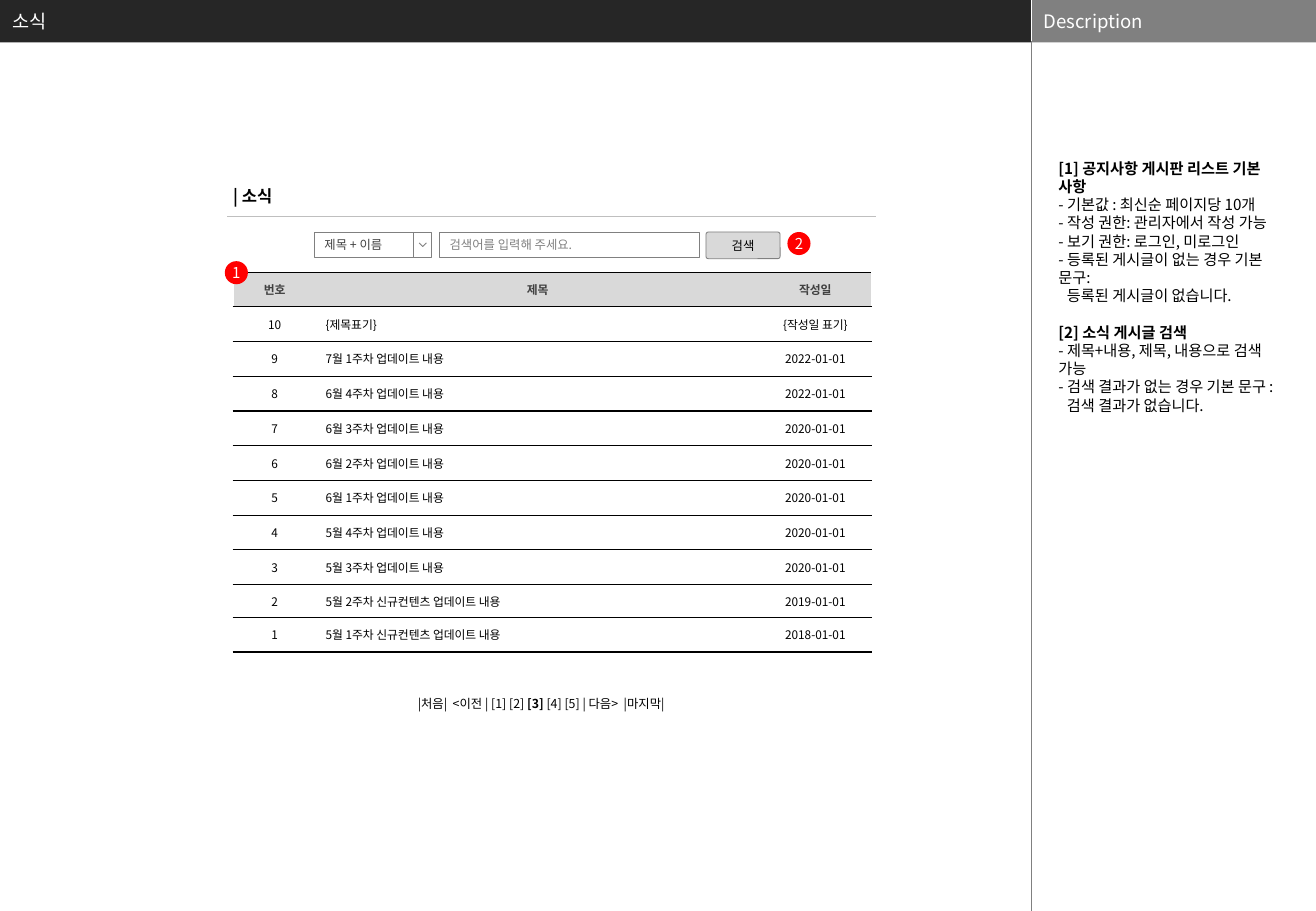
from pptx import Presentation
from pptx.dml.color import RGBColor
from pptx.enum import shapes as kinds, text as txt
from pptx.oxml.xmlchemy import OxmlElement
from pptx.util import Inches, Pt

FONT = "Noto Sans CJK KR"
BLACK = RGBColor(0x00, 0x00, 0x00)
WHITE = RGBColor(0xFF, 0xFF, 0xFF)
DARK = RGBColor(0x26, 0x26, 0x26)
INK = RGBColor(0x40, 0x40, 0x40)
GRAY = RGBColor(0x80, 0x80, 0x80)
SILVER = RGBColor(0xBF, 0xBF, 0xBF)
PALE = RGBColor(0xD9, 0xD9, 0xD9)
RED = RGBColor(0xFF, 0x00, 0x00)

LEFT, CENTER = txt.PP_ALIGN.LEFT, txt.PP_ALIGN.CENTER
MIDDLE, TOP = txt.MSO_ANCHOR.MIDDLE, txt.MSO_ANCHOR.TOP
RECT, ROUND, OVAL = (kinds.MSO_SHAPE.RECTANGLE, kinds.MSO_SHAPE.ROUNDED_RECTANGLE,
                     kinds.MSO_SHAPE.OVAL)
SPLIT = 8.49  # left edge of the description panel

POSTS = [
    ("10", "{제목표기}", "{작성일 표기}"),
    ("9", "7월 1주차 업데이트 내용", "2022-01-01"),
    ("8", "6월 4주차 업데이트 내용", "2022-01-01"),
    ("7", "6월 3주차 업데이트 내용", "2020-01-01"),
    ("6", "6월 2주차 업데이트 내용", "2020-01-01"),
    ("5", "6월 1주차 업데이트 내용", "2020-01-01"),
    ("4", "5월 4주차 업데이트 내용", "2020-01-01"),
    ("3", "5월 3주차 업데이트 내용", "2020-01-01"),
    ("2", "5월 2주차 신규컨텐츠 업데이트 내용", "2019-01-01"),
    ("1", "5월 1주차 신규컨텐츠 업데이트 내용", "2018-01-01"),
]

# Each note: heading, then lines with their left indent
NOTES = [
    ("[1] 공지사항 게시판 리스트 기본 사항", [
        ("- 기본값 : 최신순 페이지당 10개", 0),
        ("- 작성 권한: 관리자에서 작성 가능", 0),
        ("- 보기 권한: 로그인, 미로그인", 0),
        ("- 등록된 게시글이 없는 경우 기본 문구:", 0),
        ("등록된 게시글이 없습니다.", 0.07)]),
    ("[2] 소식 게시글 검색", [
        ("- 제목+내용, 제목, 내용으로 검색 가능", 0),
        ("- 검색 결과가 없는 경우 기본 문구 :", 0),
        ("검색 결과가 없습니다.", 0.07)]),
]


def add_run(para, words, size, color=BLACK, bold=False):
    run = para.add_run()
    run.text = words
    font = run.font
    font.size, font.bold, font.name = Pt(size), bold, FONT
    font.color.rgb = color
    east = OxmlElement("a:ea")
    east.set("typeface", FONT)
    font._element.append(east)


def set_frame(frame, pads=(0.1, 0.05, 0.1, 0.05), anchor=TOP, wrap=True):
    frame.auto_size = txt.MSO_AUTO_SIZE.NONE
    frame.word_wrap = wrap
    frame.vertical_anchor = anchor
    (frame.margin_left, frame.margin_top,
     frame.margin_right, frame.margin_bottom) = map(Inches, pads)


def place(shape, *box):
    shape.left, shape.top, shape.width, shape.height = map(Inches, box)


def paint(shape, fill=None, line=None):
    shape.shadow.inherit = False
    if fill is None:
        shape.fill.background()
    else:
        shape.fill.solid()
        shape.fill.fore_color.rgb = fill
    if line is None:
        shape.line.fill.background()
    else:
        shape.line.color.rgb = line
        shape.line.width = Pt(0.5)


def add_box(slide, kind, box, fill=None, line=None):
    shape = slide.shapes.add_shape(kind, *map(Inches, box))
    paint(shape, fill, line)
    return shape


def add_label(shape, words, size, color, align=CENTER, pad=0.04, wrap=True):
    set_frame(shape.text_frame, (pad,) * 4, MIDDLE, wrap)
    para = shape.text_frame.paragraphs[0]
    para.alignment = align
    add_run(para, words, size, color)


def add_text(slide, box, runs, size, color=BLACK, anchor=TOP, wrap=True):
    frame = slide.shapes.add_textbox(*map(Inches, box)).text_frame
    set_frame(frame, anchor=anchor, wrap=wrap)
    for words, bold in runs:
        add_run(frame.paragraphs[0], words, size, color, bold)


def add_rule(slide, ends, color, width):
    rule = slide.shapes.add_connector(kinds.MSO_CONNECTOR.STRAIGHT, *map(Inches, ends))
    rule.line.color.rgb = color
    rule.line.width = Pt(width)
    rule._element.spPr.append(OxmlElement("a:effectLst"))


def add_badge(slide, left, top, digit):
    badge = add_box(slide, OVAL, (left, top, 0.19, 0.19), RED)
    add_label(badge, digit, 8.9, WHITE, pad=0, wrap=False)


def set_edge(cell, side, color=None, width=0.75):
    edge = OxmlElement("a:ln" + side)
    edge.set("w", str(Pt(width)))
    if color is None:
        edge.append(OxmlElement("a:noFill"))
    else:
        solid, tone = OxmlElement("a:solidFill"), OxmlElement("a:srgbClr")
        tone.set("val", str(color))
        solid.append(tone)
        edge.append(solid)
    cell._tc.get_or_add_tcPr().append(edge)


def add_posts(slide):
    rows = [("번호", "제목", "작성일")] + POSTS
    table = slide.shapes.add_table(len(rows), 3, *map(Inches, (1.92, 2.24, 5.25, 3.13))).table
    table.first_row = table.horz_banding = False
    for col, width in zip(table.columns, (0.68, 3.65, 0.92)):
        col.width = Inches(width)
    for r, row in enumerate(rows):
        table.rows[r].height = Inches(0.27) if r == 9 else Inches(2.86) // 10
        for c, words in enumerate(row):
            cell, head = table.cell(r, c), r == 0
            set_edge(cell, "L", WHITE if c == 0 else None, 1)
            set_edge(cell, "R", WHITE if c == 2 else None, 1)
            set_edge(cell, "T", BLACK)
            set_edge(cell, "B", BLACK)
            if head:
                cell.fill.solid()
                cell.fill.fore_color.rgb = PALE
            else:
                cell.fill.background()
            cell.vertical_anchor = MIDDLE
            cell.margin_left = cell.margin_right = Inches(0.08)
            cell.margin_top = cell.margin_bottom = Inches(0.04)
            para = cell.text_frame.paragraphs[0]
            para.alignment = LEFT if c == 1 and not head else CENTER
            add_run(para, words, 7, INK if head else BLACK, head)


def add_header(slide):
    add_box(slide, RECT, (0, 0, SPLIT, 0.35), DARK)
    add_box(slide, RECT, (SPLIT, 0, 2.34, 0.35), GRAY)
    add_rule(slide, (SPLIT, 0, SPLIT, 0.35), WHITE, 0.25)
    add_rule(slide, (SPLIT, 0.34, SPLIT, 7.5), GRAY, 0.25)
    add_text(slide, (SPLIT, 0, 2.34, 0.34), [("Description", False)], 11, WHITE, MIDDLE)
    title = slide.shapes.title
    place(title, 0, 0, 8.25, 0.35)
    add_label(title, "소식", 11, WHITE, LEFT, 0.1)
    slide.shapes._spTree.append(title._element)  # in front of the bar


def add_notes(slide):
    body = slide.placeholders[1]
    place(body, 8.68, 1.16, 1.9, 5.81)
    frame = body.text_frame
    set_frame(frame, (0.03, 0.15, 0.03, 0))
    para = frame.paragraphs[0]
    for n, (head, lines) in enumerate(NOTES):
        for i, (words, indent) in enumerate([(head, 0)] + lines):
            if n or i:
                para = frame.add_paragraph()
            para.line_spacing = Pt(10.8)
            para.space_before = Pt(10.8 if n and not i else 0)
            props = para._p.get_or_add_pPr()
            props.set("marL", str(Inches(indent)))
            props.set("indent", "0")
            props.append(OxmlElement("a:buNone"))
            add_run(para, words, 9, bold=i == 0)


def add_search(slide):
    field = add_box(slide, RECT, (3.62, 1.91, 2.14, 0.21), line=GRAY)
    add_label(field, "검색어를 입력해 주세요.", 7.3, GRAY, LEFT, 0.08)
    choice = add_box(slide, RECT, (2.59, 1.91, 0.81, 0.21), line=GRAY)
    add_label(choice, "제목 + 이름", 7.3, INK, LEFT, 0.08)
    add_box(slide, RECT, (3.4, 1.91, 0.15, 0.21), WHITE, GRAY)
    pen = slide.shapes.build_freeform(Inches(3.51), Inches(2))
    pen.add_line_segments([(Inches(3.48), Inches(2.03)), (Inches(3.45), Inches(2))], close=False)
    paint(pen.convert_to_shape(), WHITE, GRAY)
    button = add_box(slide, ROUND, (5.81, 1.91, 0.61, 0.22), PALE, GRAY)
    button.adjustments[0] = 0.09
    add_label(button, "검색", 7.3, BLACK)


def main():
    deck = Presentation()
    deck.slide_width, deck.slide_height = Inches(10.83), Inches(7.5)
    slide = deck.slides.add_slide(deck.slide_layouts[1])
    # Header and description panel
    add_header(slide)
    add_notes(slide)
    # News board
    add_text(slide, (1.82, 1.48, 1.27, 0.27), [("| 소식", True)], 9.8)
    add_rule(slide, (1.87, 1.78, 7.21, 1.78), SILVER, 0.75)
    add_search(slide)
    add_posts(slide)
    add_text(slide, (3.34, 5.68, 2.46, 0.22),
             [("|처음|  <이전 | [1] [2] ", False), ("[3]", True),
              (" [4] [5] | 다음>  |마지막|", False)], 7.3, wrap=False)
    # Numbered markers
    add_badge(slide, 1.85, 2.15, "1")
    add_badge(slide, 6.48, 1.91, "2")
    deck.save("out.pptx")


if __name__ == "__main__":
    main()
